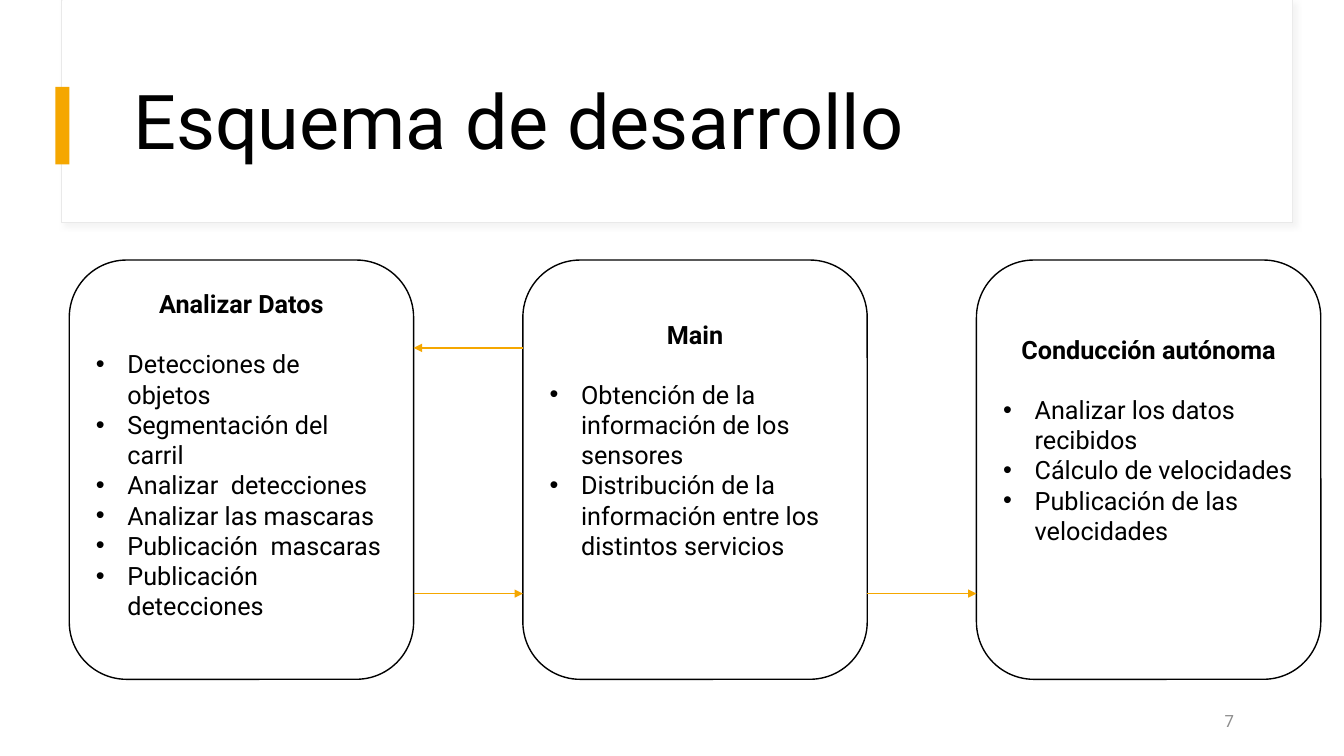
from lxml import etree
from pptx import Presentation
from pptx import util as u
from pptx.dml.color import RGBColor
from pptx.enum import shapes, text
from pptx.oxml.ns import qn

BLACK, WHITE, AMBER, GREY = "000000", "FFFFFF", "F5A700", "8C8C8C"


def color(value):
    return RGBColor.from_string(value)


def add_node(parent, tag, **attributes):
    return etree.SubElement(parent, qn(tag), {k: str(v) for k, v in attributes.items()})


class Deck:
    font = "Roboto"
    body_size = 18
    line_height = 21.4
    indent = 22.5

    def __init__(self, width, height):
        self.presentation = Presentation()
        self.presentation.slide_width = u.Pt(width)
        self.presentation.slide_height = u.Pt(height)
        self.slide = self.presentation.slides.add_slide(self.presentation.slide_layouts[6])

    def box(self, left, top, width, height, fill, line=None, weight=1,
            kind=shapes.MSO_SHAPE.RECTANGLE):
        shape = self.slide.shapes.add_shape(
            kind, u.Pt(left), u.Pt(top), u.Pt(width), u.Pt(height))
        shape.shadow.inherit = False
        shape.fill.solid()
        shape.fill.fore_color.rgb = color(fill)
        if line:
            shape.line.color.rgb = color(line)
            shape.line.width = u.Pt(weight)
        else:
            shape.line.fill.background()
        return shape

    def soft_shadow(self, shape, value):
        effects = shape._element.spPr.find(qn("a:effectLst"))
        shadow = add_node(effects, "a:outerShdw", blurRad=u.Pt(4), dist=u.Pt(3),
                          dir=45 * 60000, algn="tl", rotWithShape=0)
        tint = add_node(shadow, "a:srgbClr", val=value)
        add_node(tint, "a:alpha", val=30000)

    def style(self, paragraph, size, value, align, bold=False):
        paragraph.alignment = align
        paragraph.font.name = self.font
        paragraph.font.size = u.Pt(size)
        paragraph.font.bold = bold
        paragraph.font.color.rgb = color(value)

    def label(self, words, left, top, width, height, size, value,
              align=text.PP_ALIGN.LEFT, spacing=None):
        shape = self.slide.shapes.add_textbox(
            u.Pt(left), u.Pt(top), u.Pt(width), u.Pt(height))
        frame = shape.text_frame
        frame.word_wrap = True
        frame.vertical_anchor = text.MSO_ANCHOR.MIDDLE
        paragraph = frame.paragraphs[0]
        paragraph.text = words
        paragraph.line_spacing = spacing
        self.style(paragraph, size, value, align)

    def card(self, left, top, width, height, heading, items, lines_below):
        shape = self.box(left, top, width, height, WHITE, BLACK,
                         kind=shapes.MSO_SHAPE.ROUNDED_RECTANGLE)
        frame = shape.text_frame
        frame.word_wrap = True
        frame.vertical_anchor = text.MSO_ANCHOR.MIDDLE
        frame.margin_bottom = u.Pt(3.6 + lines_below * self.line_height)
        paragraph = frame.paragraphs[0]
        paragraph.text = heading
        paragraph.space_after = u.Pt(self.line_height)
        self.style(paragraph, self.body_size, BLACK, text.PP_ALIGN.CENTER, bold=True)
        for item in items:
            paragraph = frame.add_paragraph()
            paragraph.text = item
            self.style(paragraph, self.body_size, BLACK, text.PP_ALIGN.LEFT)
            self.bullet(paragraph)

    def bullet(self, paragraph):
        properties = paragraph._p.get_or_add_pPr()
        properties.set("marL", str(u.Pt(self.indent)))
        properties.set("indent", str(-u.Pt(self.indent)))
        # Bullet nodes go before the default run properties
        nodes = [etree.Element(qn("a:buFont"), typeface="Arial"),
                 etree.Element(qn("a:buChar"), char="•")]
        defaults = properties.find(qn("a:defRPr"))
        for node in nodes:
            defaults.addprevious(node)

    def arrow(self, start, end, y):
        connector = self.slide.shapes.add_connector(
            shapes.MSO_CONNECTOR.STRAIGHT, u.Pt(start), u.Pt(y), u.Pt(end), u.Pt(y))
        connector.line.color.rgb = color(AMBER)
        connector.line.width = u.Pt(1)
        add_node(connector.line._get_or_add_ln(), "a:tailEnd", type="triangle")
        add_node(connector._element.spPr, "a:effectLst")


def main():
    deck = Deck(960, 540)

    # Title panel with accent bar
    panel = deck.box(44, 0, 879, 159, WHITE, "E9E9E9", 0.75)
    deck.soft_shadow(panel, "D9D9D9")
    deck.box(44.5, 0, 878.5, 158.5, WHITE)
    deck.box(39.5, 62, 10, 55.5, AMBER)

    # Three services, evenly spaced
    services = [
        ("Analizar Datos",
         ["Detecciones de objetos", "Segmentación del carril", "Analizar  detecciones",
          "Analizar las mascaras", "Publicación  mascaras", "Publicación detecciones"], 1),
        ("Main",
         ["Obtención de la información de los sensores",
          "Distribución de la información entre los distintos servicios"], 2),
        ("Conducción autónoma",
         ["Analizar los datos recibidos", "Cálculo de velocidades",
          "Publicación de las velocidades"], 2),
    ]
    first, pitch, width = 49.5, 324, 246
    lefts = [first + pitch * i for i in range(len(services))]
    for left, service in zip(lefts, services):
        deck.card(left, 185.75, width, 299.5, *service)

    # Data flow between services
    analysis, hub, driving = lefts
    request_y, result_y = 248.5, 424
    deck.arrow(hub, analysis + width, request_y)
    deck.arrow(hub + width, driving, result_y)
    deck.arrow(analysis + width, hub, result_y)

    # Title and page number
    deck.label("Esquema de desarrollo", 88, 43, 800.5, 93, 54, BLACK, spacing=0.9)
    deck.label("7", 672.5, 500.5, 216, 28.75, 12, GREY, text.PP_ALIGN.RIGHT)

    deck.presentation.save("out.pptx")


if __name__ == "__main__":
    main()
